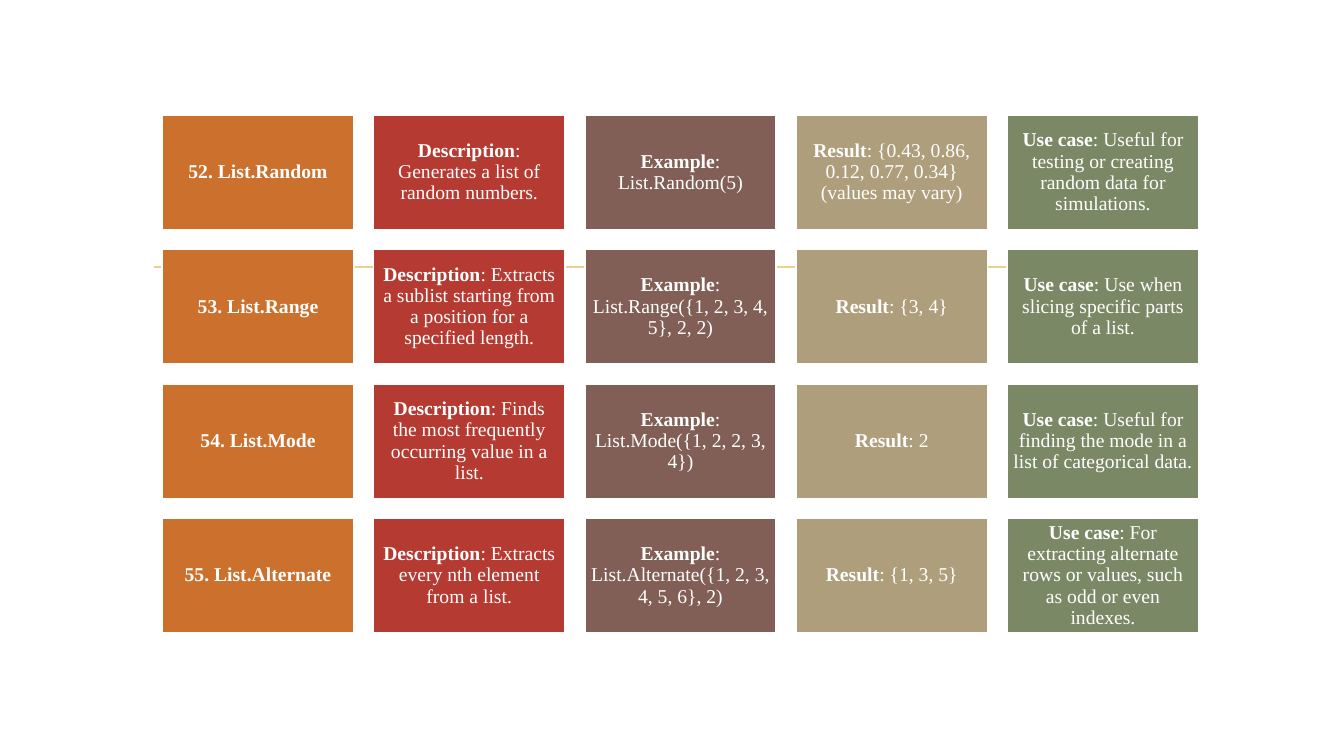
from dataclasses import dataclass

from lxml import etree
from pptx import Presentation
from pptx.dml.color import RGBColor
from pptx.enum.shapes import MSO_CONNECTOR, MSO_SHAPE
from pptx.enum.text import MSO_ANCHOR, PP_ALIGN
from pptx.oxml.ns import qn
from pptx.util import Inches, Pt

STRAIGHT = MSO_CONNECTOR.STRAIGHT
RECTANGLE = MSO_SHAPE.RECTANGLE
MIDDLE = MSO_ANCHOR.MIDDLE
CENTER = PP_ALIGN.CENTER
BLANK_LAYOUT = 6


@dataclass(frozen=True)
class Theme:
    font: str = "Times New Roman"
    text_size: float = 14
    line_width: float = 1.25
    white: str = "FFFFFF"
    rule: str = "E8D191"
    columns: tuple = ("CC702D", "B53A31", "815F56", "AE9E7C", "7B8865")


THEME = Theme()

LABELS = ("Description", "Example", "Result", "Use case")
FUNCTIONS = (
    ("52. List.Random",
     "Generates a list of random numbers.",
     "List.Random(5)",
     "{0.43, 0.86, 0.12, 0.77, 0.34} (values may vary)",
     "Useful for testing or creating random data for simulations."),
    ("53. List.Range",
     "Extracts a sublist starting from a position for a specified length.",
     "List.Range({1, 2, 3, 4, 5}, 2, 2)",
     "{3, 4}",
     "Use when slicing specific parts of a list."),
    ("54. List.Mode",
     "Finds the most frequently occurring value in a list.",
     "List.Mode({1, 2, 2, 3, 4})",
     "2",
     "Useful for finding the mode in a list of categorical data."),
    ("55. List.Alternate",
     "Extracts every nth element from a list.",
     "List.Alternate({1, 2, 3, 4, 5, 6}, 2)",
     "{1, 3, 5}",
     "For extracting alternate rows or values, such as odd or even indexes."),
)


def add_text(paragraph, text, *, bold=False, size=THEME.text_size, color=THEME.white):
    run = paragraph.add_run()
    run.text = text
    run.font.name = THEME.font
    run.font.size = Pt(size)
    run.font.bold = bold
    run.font.color.rgb = RGBColor.from_string(color)


def add_rule(slide, left, top, width):
    rule = slide.shapes.add_connector(
        STRAIGHT, Inches(left), Inches(top), Inches(left + width), Inches(top))
    rule.line.color.rgb = RGBColor.from_string(THEME.rule)
    rule.line.width = Pt(THEME.line_width)
    etree.SubElement(rule._element.spPr, qn("a:effectLst"))


def add_card(slide, left, top, width, height, *, fill, heading, detail=""):
    card = slide.shapes.add_shape(
        RECTANGLE, Inches(left), Inches(top), Inches(width), Inches(height))
    card.shadow.inherit = False
    card.fill.solid()
    card.fill.fore_color.rgb = RGBColor.from_string(fill)
    card.line.color.rgb = RGBColor.from_string(THEME.white)
    card.line.width = Pt(THEME.line_width)

    frame = card.text_frame
    frame.word_wrap = True
    frame.vertical_anchor = MIDDLE
    frame.margin_left = frame.margin_right = Inches(0.06)
    frame.margin_top = frame.margin_bottom = Inches(0.06)
    paragraph = frame.paragraphs[0]
    paragraph.alignment = CENTER
    paragraph.line_spacing = 0.9
    add_text(paragraph, heading, bold=True)
    if detail:
        add_text(paragraph, f": {detail}")


def add_function_grid(slide, left, top, width, height):
    """Fill the box with one row of cards per function, evenly spaced."""
    card_width, card_height = 1.9, 1.14
    column_step = (width - card_width) / (len(THEME.columns) - 1)
    row_step = (height - card_height) / (len(FUNCTIONS) - 1)
    for row, (name, *details) in enumerate(FUNCTIONS):
        cells = [(name, ""), *zip(LABELS, details)]
        for column, (heading, detail) in enumerate(cells):
            add_card(slide, left + column * column_step, top + row * row_step,
                     card_width, card_height, fill=THEME.columns[column],
                     heading=heading, detail=detail)


def main():
    presentation = Presentation()
    presentation.slide_width = Inches(13.33)
    presentation.slide_height = Inches(7.5)
    slide = presentation.slides.add_slide(presentation.slide_layouts[BLANK_LAYOUT])
    add_rule(slide, 1.53, 2.65, 10.28)
    add_function_grid(slide, 1.61, 1.14, 10.28, 5.14)
    presentation.save("out.pptx")


if __name__ == "__main__":
    main()
